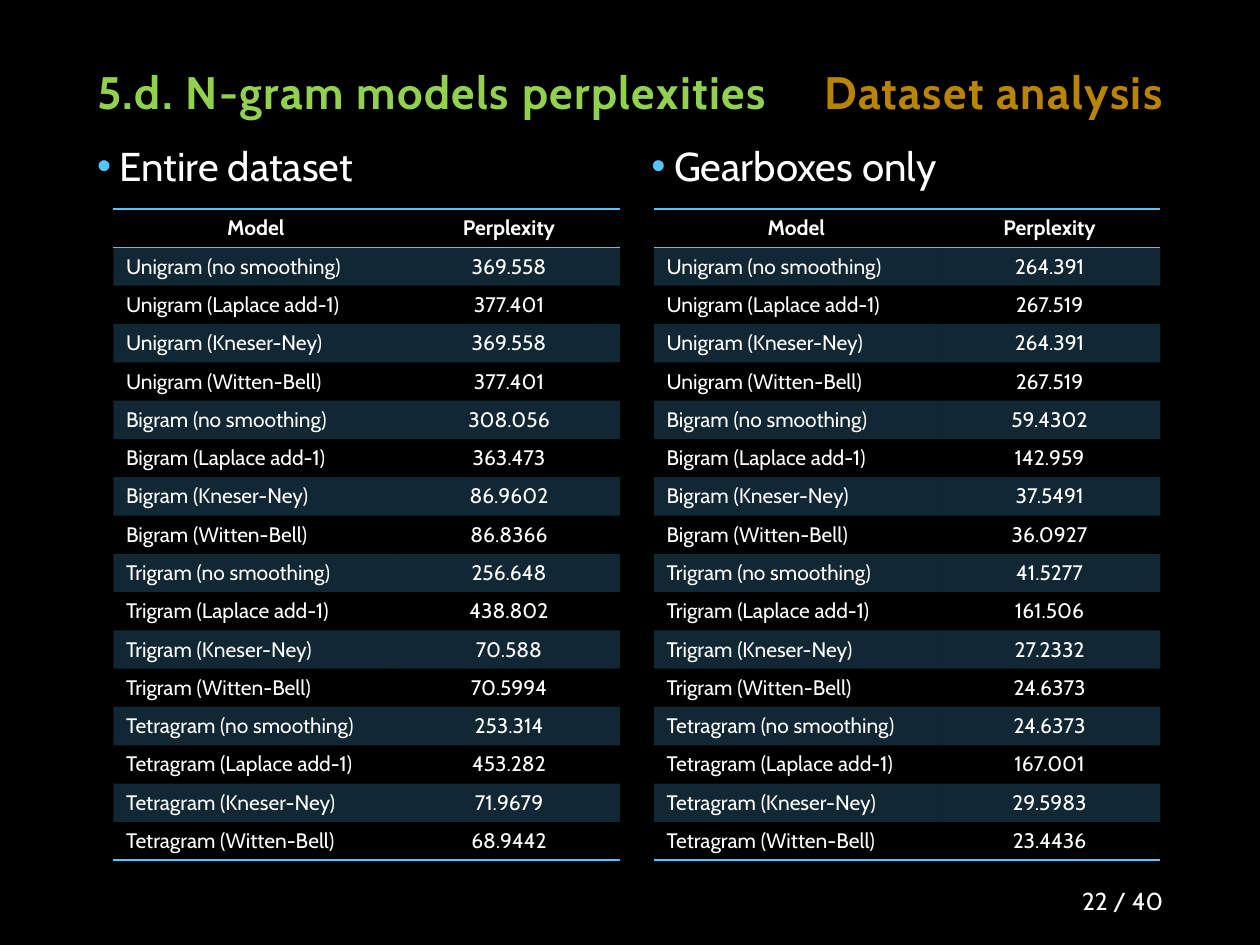
from dataclasses import dataclass
from itertools import product

from lxml.etree import SubElement
from pptx import Presentation
from pptx.dml.color import RGBColor
from pptx.enum.text import MSO_ANCHOR, MSO_AUTO_SIZE, PP_ALIGN
from pptx.oxml.ns import qn
from pptx.util import Inches, Pt

WIDTH, HEIGHT = Inches(10), Inches(7.5)
COLS, ROWS = 100, 75
FONT = "Cabin"
HUES = {"back": "000000", "text": "FFFFFF", "title": "92D050",
        "part": "BA8403", "blue": "56C5FF"}
PLAIN = "{2D5ABB26-0587-4C30-8999-92F81FD0307C}"
MODELS = [f"{gram} ({kind})" for gram, kind in product(
    ("Unigram", "Bigram", "Trigram", "Tetragram"),
    ("no smoothing", "Laplace add-1", "Kneser-Ney", "Witten-Bell"))]


@dataclass(frozen=True)
class Box:
    """A frame counted in columns and rows of the slide grid."""
    left: float
    top: float
    width: float
    height: float

    def area(self) -> tuple[int, int, int, int]:
        """Return the frame in slide units."""
        return (span(self.left), drop(self.top),
                span(self.width), drop(self.height))


@dataclass(frozen=True)
class Style:
    """The look of one paragraph."""
    size: float
    hue: str = "text"
    bold: bool = False
    align: PP_ALIGN = PP_ALIGN.LEFT
    track: int = 0
    lead: float = 1.0


@dataclass(frozen=True)
class Panel:
    """A heading with its table of perplexities."""
    head: str
    box: Box
    grid: Box
    scores: tuple[str, ...]


def span(cols: float) -> int:
    """Turn grid columns into a length."""
    return round(WIDTH * cols / COLS)


def drop(rows: float) -> int:
    """Turn grid rows into a length."""
    return round(HEIGHT * rows / ROWS)


def tint(name: str) -> RGBColor:
    """Look up a named colour."""
    return RGBColor.from_string(HUES[name])


def write(para, text: str, style: Style) -> None:
    """Fill a paragraph with styled text."""
    para.text = text
    para.alignment = style.align
    para.line_spacing = style.lead
    para.space_before = Pt(0)
    font = para.font
    font.name, font.size, font.bold = FONT, Pt(style.size), style.bold
    font.color.rgb = tint(style.hue)
    if style.track:
        font._rPr.set("spc", str(style.track))


def place(shape, box: Box, anchor: MSO_ANCHOR):
    """Set the frame of a text shape and return its paragraph."""
    shape.left, shape.top, shape.width, shape.height = box.area()
    frame = shape.text_frame
    frame.word_wrap = True
    frame.auto_size = MSO_AUTO_SIZE.NONE
    frame.vertical_anchor = anchor
    return frame.paragraphs[0]


def label(slide, box: Box, anchor: MSO_ANCHOR, text: str, style: Style) -> None:
    """Add a free text box."""
    shape = slide.shapes.add_textbox(*box.area())
    write(place(shape, box, anchor), text, style)


def bullet(para) -> None:
    """Give a paragraph a coloured bullet and a hanging indent."""
    props = para._p.get_or_add_pPr()
    props.set("marL", str(span(1.8)))
    props.set("indent", str(-span(1.8)))
    shade = SubElement(props, qn("a:buClr"))
    SubElement(shade, qn("a:srgbClr"), val=HUES["blue"])
    SubElement(props, qn("a:buFont"), typeface="Arial")
    SubElement(props, qn("a:buChar"), char="•")


def rule(cell, side: str) -> None:
    """Draw a blue line on one side of a cell."""
    line = SubElement(cell._tc.get_or_add_tcPr(), qn(f"a:{side}"), w=str(Pt(1)))
    fill = SubElement(line, qn("a:solidFill"))
    SubElement(fill, qn("a:srgbClr"), val=HUES["blue"])


def band(cell) -> None:
    """Fill a cell with translucent blue."""
    cell.fill.solid()
    cell.fill.fore_color.rgb = tint("blue")
    shade = cell._tc.tcPr.find(f".//{qn('a:solidFill')}/{qn('a:srgbClr')}")
    SubElement(shade, qn("a:alpha"), val="20000")


def chart(slide, panel: Panel) -> None:
    """Add the table of models and scores."""
    rows = [("Model", "Perplexity"), *zip(MODELS, panel.scores)]
    last = len(rows) - 1
    table = slide.shapes.add_table(len(rows), 2, *panel.grid.area()).table
    table._tbl.tblPr.find(qn("a:tableStyleId")).text = PLAIN
    for col, wide in zip(table.columns, (22.6, 17.6)):
        col.width = span(wide)
    for row, pair in enumerate(rows):
        table.rows[row].height = drop(panel.grid.height / len(rows))
        for col, text in enumerate(pair):
            cell = table.cell(row, col)
            mid = row == 0 or col == 1
            align = PP_ALIGN.CENTER if mid else PP_ALIGN.LEFT
            write(cell.text_frame.paragraphs[0], text,
                  Style(12, bold=row == 0, align=align))
            if row == 0:
                rule(cell, "lnT")
            if row in (0, last):
                rule(cell, "lnB")
            if row % 2:
                band(cell)
            else:
                cell.fill.background()


PANELS = (
    Panel("Entire dataset", Box(6.7, 10.7, 42.5, 56.7), Box(9, 16.6, 40.2, 51),
          ("369.558", "377.401", "369.558", "377.401",
           "308.056", "363.473", "86.9602", "86.8366",
           "256.648", "438.802", "70.588", "70.5994",
           "253.314", "453.282", "71.9679", "68.9442")),
    Panel("Gearboxes only", Box(50.7, 10.7, 42.5, 56.7), Box(51.9, 16.6, 40.2, 51),
          ("264.391", "267.519", "264.391", "267.519",
           "59.4302", "142.959", "37.5491", "36.0927",
           "41.5277", "161.506", "27.2332", "24.6373",
           "24.6373", "167.001", "29.5983", "23.4436")),
)


def main() -> None:
    """Build and save the slide."""
    deck = Presentation()
    deck.slide_width, deck.slide_height = WIDTH, HEIGHT
    slide = deck.slides.add_slide(deck.slide_layouts[3])
    slide.background.fill.solid()
    slide.background.fill.fore_color.rgb = tint("back")

    title, *bodies = slide.placeholders
    write(place(title, Box(6.7, 4.2, 55.9, 5.8), MSO_ANCHOR.BOTTOM),
          "5.d. N-gram models perplexities",
          Style(26, "title", True, track=80, lead=0.9))
    label(slide, Box(53.1, 4.2, 40.2, 5.8), MSO_ANCHOR.BOTTOM, "Dataset analysis",
          Style(26, "part", True, PP_ALIGN.RIGHT, 80, 0.9))
    label(slide, Box(83.1, 70, 10.2, 3), MSO_ANCHOR.MIDDLE, "22 / 40",
          Style(14, align=PP_ALIGN.RIGHT))

    for body, panel in zip(bodies, PANELS):
        para = place(body, panel.box, MSO_ANCHOR.TOP)
        bullet(para)
        write(para, panel.head, Style(23, align=PP_ALIGN.JUSTIFY))
        chart(slide, panel)
    deck.save("out.pptx")


if __name__ == "__main__":
    main()
